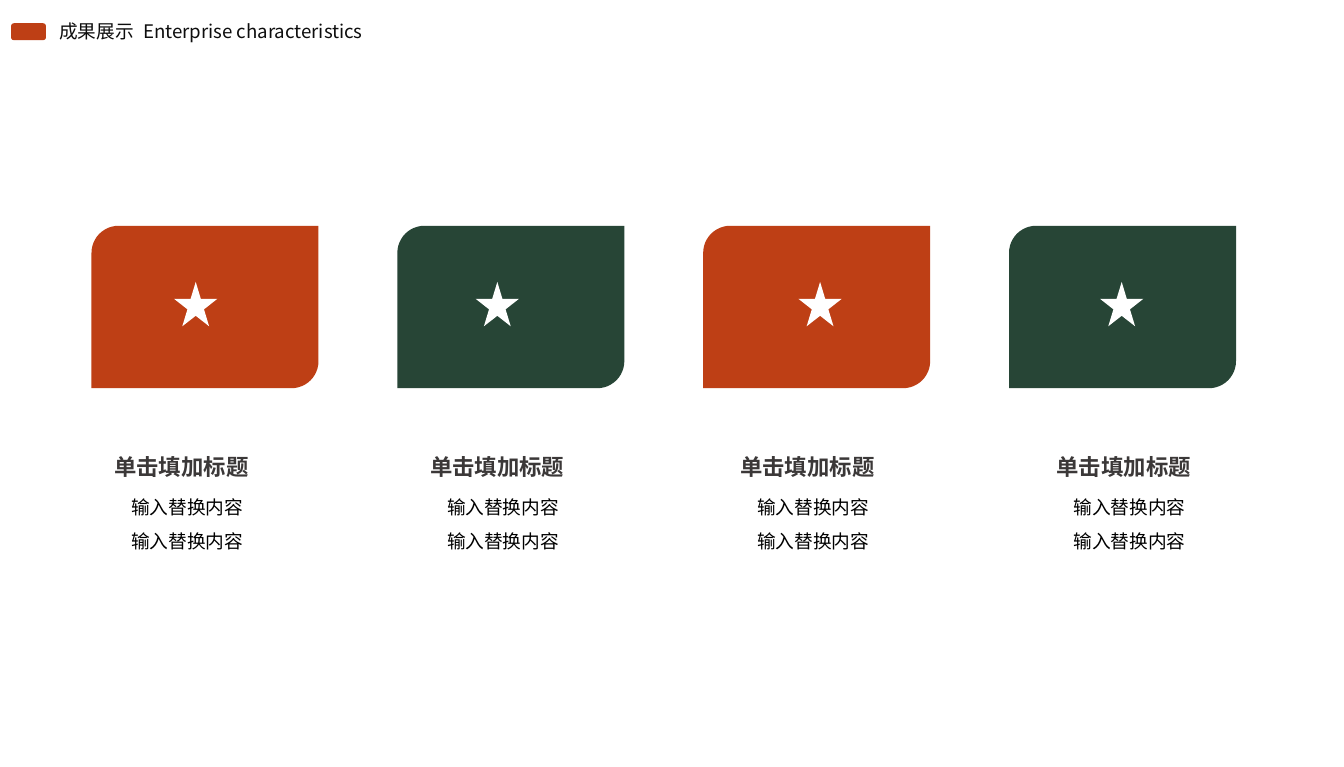
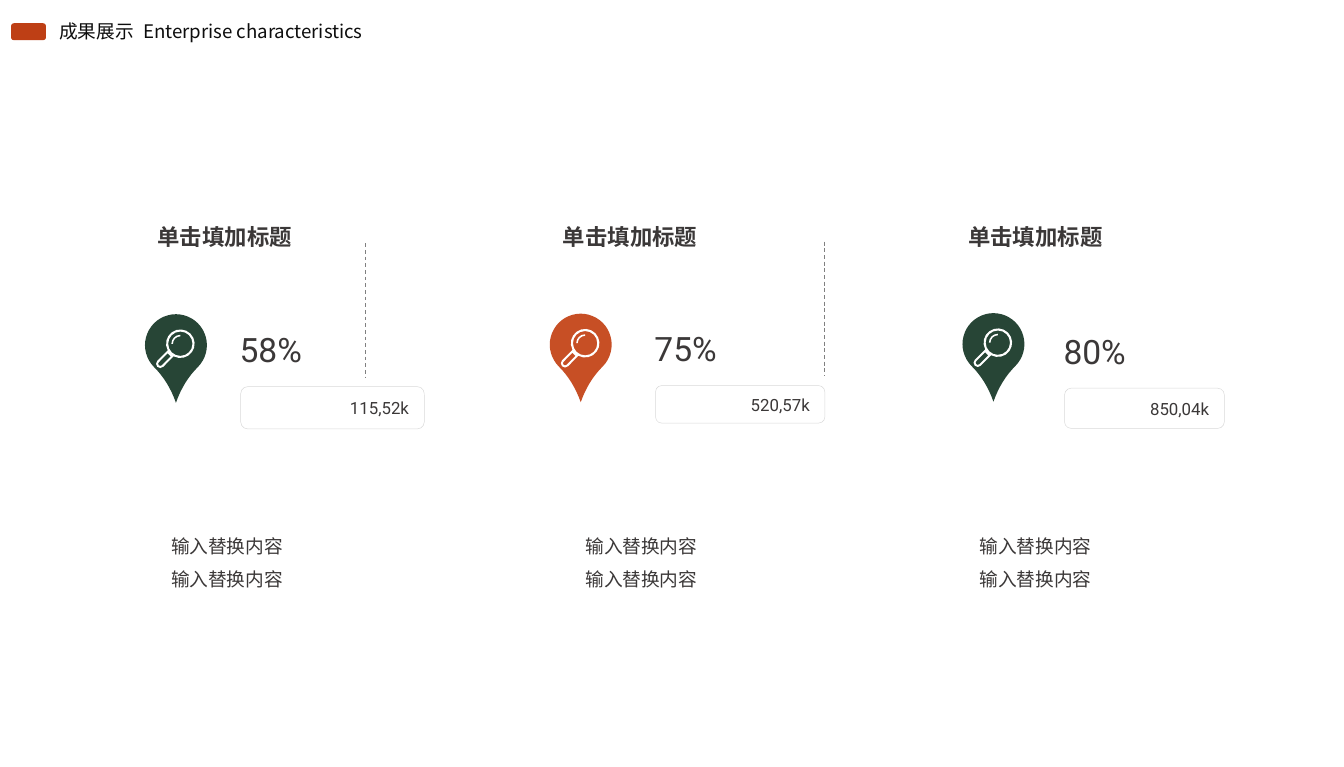
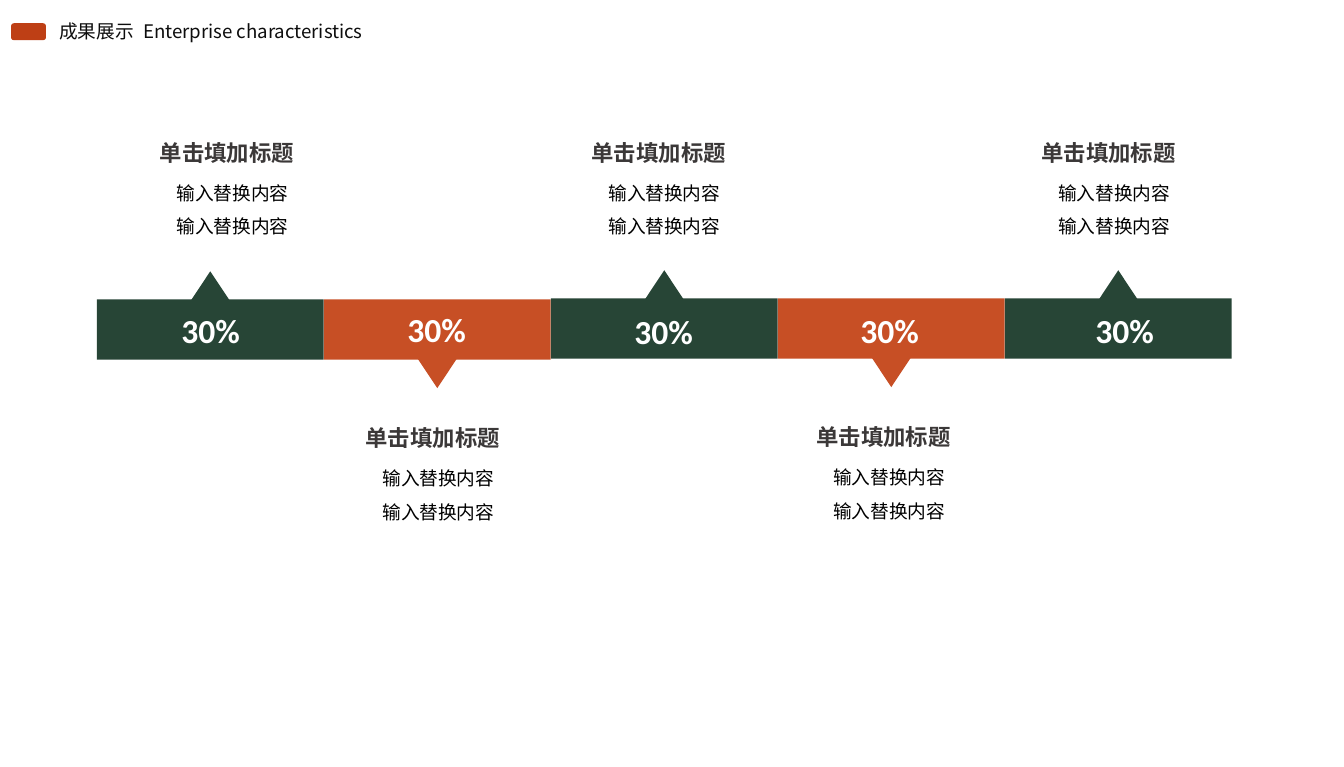
import math

import lxml.etree
import pptx
import pptx.dml.color
import pptx.enum.dml
import pptx.enum.shapes
import pptx.enum.text
import pptx.oxml.ns
import pptx.util

Cm = pptx.util.Cm
qn = pptx.oxml.ns.qn
SHAPE = pptx.enum.shapes.MSO_SHAPE
ALIGN = pptx.enum.text.PP_ALIGN

RUST, ORANGE, GREEN = "BE3F15", "C74F25", "274536"
WHITE, BLACK, INK, GRAPHITE = "FFFFFF", "000000", "0D0D0D", "3B3838"
OUTLINE, DIVIDER = "D9D9D9", "808080"
CJK, ROBOTO, CALIBRI = "Noto Sans CJK SC", "Roboto", "Calibri"
HEADLINE = "单击填加标题"
BODY = ["输入替换内容"] * 2


def rgb(value):
    return pptx.dml.color.RGBColor.from_string(value)


def style(paragraph, size, color, face=CJK, bold=False, align=ALIGN.LEFT):
    paragraph.alignment = align
    font = paragraph.font
    font.size = pptx.util.Pt(size)
    font.bold = bold
    font.color.rgb = rgb(color)
    font.name = face
    defaults = paragraph._p.pPr.find(qn("a:defRPr"))
    lxml.etree.SubElement(defaults, qn("a:ea"), typeface=face)


def paint(shape, fill):
    shape.shadow.inherit = False
    shape.fill.solid()
    shape.fill.fore_color.rgb = rgb(fill)
    shape.line.fill.background()


def add_block(slide, kind, left, top, width, height, fill):
    block = slide.shapes.add_shape(kind, Cm(left), Cm(top), Cm(width), Cm(height))
    paint(block, fill)
    return block


def add_text(slide, lines, left, top, width, height, size, color,
             wrap=True, inset=True, spacing=None, gap=0, **look):
    box = slide.shapes.add_textbox(Cm(left), Cm(top), Cm(width), Cm(height))
    frame = box.text_frame
    frame.word_wrap = wrap
    frame.auto_size = pptx.enum.text.MSO_AUTO_SIZE.SHAPE_TO_FIT_TEXT
    if not inset:
        frame.margin_left = frame.margin_right = 0
        frame.margin_top = frame.margin_bottom = 0
    frame.text = "\n".join(lines)
    for index, paragraph in enumerate(frame.paragraphs):
        if spacing:
            paragraph.line_spacing = spacing
        if index:
            paragraph.space_before = pptx.util.Pt(gap)
        style(paragraph, size, color, **look)


def add_headline(slide, left, top, width=3.4):
    add_text(slide, [HEADLINE], left, top, width, 0.6, 12, GRAPHITE,
             inset=False, spacing=1.2, bold=True, align=ALIGN.CENTER)


def add_body(slide, left, top, width=5.33, color=BLACK):
    add_text(slide, BODY, left, top, width, 1.32, 10, color,
             gap=6, align=ALIGN.CENTER)


def add_caption(slide, left, top):
    add_body(slide, left - 0.86, top + 0.78)
    add_headline(slide, left, top)


def add_percent(slide, value, left, top, width, color, **look):
    add_text(slide, [value], left, top, width, 1.02, 18, color, wrap=False, **look)


def add_amount(slide, value, left, top, width, height):
    field = add_block(slide, SHAPE.ROUNDED_RECTANGLE, left, top, width, height, WHITE)
    field.fill.background()
    field.line.color.rgb = rgb(OUTLINE)
    field.line.width = pptx.util.Pt(0.25)
    field.text_frame.text = value
    field.text_frame.vertical_anchor = pptx.enum.text.MSO_ANCHOR.MIDDLE
    style(field.text_frame.paragraphs[0], 9, GRAPHITE, ROBOTO, align=ALIGN.RIGHT)


def add_divider(slide, x, top):
    divider = slide.shapes.add_connector(
        pptx.enum.shapes.MSO_CONNECTOR.STRAIGHT, Cm(x), Cm(top), Cm(x), Cm(top + 2.54))
    divider.line.color.rgb = rgb(DIVIDER)
    divider.line.width = pptx.util.Pt(0.5)
    divider.line.dash_style = pptx.enum.dml.MSO_LINE.DASH
    lxml.etree.SubElement(divider._element.spPr, qn("a:effectLst"))


def arc(x, y, radius, start, end):
    count = math.ceil(abs(end - start) / 90)
    turn = math.radians(end - start) / count
    reach = 4 / 3 * math.tan(turn / 4)

    def point(angle, pull=0):
        return (x + radius * (math.cos(angle) - pull * math.sin(angle)),
                y + radius * (math.sin(angle) + pull * math.cos(angle)))

    angles = [math.radians(start) + turn * i for i in range(count + 1)]
    curves = [(point(a, reach), point(b, -reach), point(b))
              for a, b in zip(angles, angles[1:])]
    return [(point(angles[0]),)] + curves


def bend(outline, steps):
    corners = iter(list(outline._element.iter(qn("a:lnTo"))))
    for step in steps:
        nodes = [next(corners) for _ in step]
        if len(step) == 3:
            curve = lxml.etree.Element(qn("a:cubicBezTo"))
            nodes[0].addprevious(curve)
            for node in nodes:
                curve.append(node[0])
                node.getparent().remove(node)


def add_outline(slide, contours, fill):
    builder = None
    for contour in contours:
        points = [(Cm(x), Cm(y)) for step in contour for x, y in step]
        if builder is None:
            builder = slide.shapes.build_freeform(*points[0])
        else:
            builder.move_to(*points[0])
        builder.add_line_segments(points[1:], close=True)
    outline = builder.convert_to_shape()
    bend(outline, [step for contour in contours for step in contour[1:]])
    paint(outline, fill)


def add_magnifier(slide, x, y):
    grip_x, grip_y = x - 0.38, y + 0.38
    neck_x, neck_y = x - 0.21, y + 0.21
    rim = arc(x, y, 0.27, 152, 478) + arc(grip_x, grip_y, 0.08, 45, 225)
    lens = arc(x, y, 0.23, 360, 0)
    grip = (arc(grip_x, grip_y, 0.04, 45, 225)
            + [((neck_x - 0.03, neck_y - 0.03),), ((neck_x + 0.03, neck_y + 0.03),)])
    add_outline(slide, [rim, lens, grip], WHITE)
    add_outline(slide, [arc(x, y, 0.17, 180, 270) + arc(x, y, 0.14, 270, 180)], WHITE)


def add_pin(slide, left, top, fill):
    pin = add_block(slide, SHAPE.TEAR, left, top, 1.17, 1.17, fill)
    pin.adjustments[0] = 1.316
    pin.rotation = 135
    add_magnifier(slide, left + 0.67, top + 0.56)


def new_slide(deck):
    slide = deck.slides.add_slide(deck.slide_layouts[6])
    add_block(slide, SHAPE.ROUNDED_RECTANGLE, 0.21, 0.44, 0.66, 0.32, RUST)
    add_text(slide, ["成果展示"], 0.87, 0.26, 1.93, 0.69, 10, INK)
    add_text(slide, ["Enterprise characteristics"], 2.46, 0.26, 6.48, 0.69, 10, INK)
    return slide


def build_star_cards(deck):
    slide = new_slide(deck)
    columns = [(3.29, 1.73), (8.99, 7.7), (15.09, 13.56), (20.79, 19.54)]
    for index in range(len(columns)):
        add_block(slide, SHAPE.ROUND_2_DIAG_RECTANGLE, 1.73 + index * 5.78, 4.27,
                  4.29, 3.07, (RUST, GREEN)[index % 2])
    for star_left, caption_left in columns:
        add_caption(slide, caption_left, 8.47)
        add_block(slide, SHAPE.STAR_5_POINT, star_left, 5.33, 0.82, 0.84, WHITE)


def build_pin_figures(deck):
    slide = new_slide(deck)
    figures = [
        ("58%", "115,52k", 4.28, 6.1, 3.47, 0.8),
        ("75%", "520,57k", 12.12, 6.08, 3.2, 0.71),
        ("80%", "850,04k", 19.85, 6.13, 3.02, 0.76),
    ]
    for percent, amount, left, top, width, height in figures:
        add_percent(slide, percent, left, top, 1.72, GRAPHITE, face=ROBOTO)
        add_amount(slide, amount, left + 0.27, top + 1.21, width, height)
    add_divider(slide, 6.91, 4.6)
    add_divider(slide, 15.59, 4.57)
    for index, body_left in enumerate((1.56, 9.39, 16.84)):
        add_headline(slide, 2.51 + index * 7.66, 4.11, 3.48)
        add_body(slide, body_left, 9.98, 5.46, GRAPHITE)
    add_pin(slide, 2.74, 5.94, GREEN)
    add_pin(slide, 10.39, 5.93, ORANGE)
    add_pin(slide, 18.19, 5.92, GREEN)


def build_percent_band(deck):
    slide = new_slide(deck)
    segments = [
        (5.66, 3.18, 5.74, 2.59, 2.53),
        (5.66, 7.45, 5.72, 6.48, 7.92),
        (5.64, 11.74, 5.75, 10.75, 2.53),
        (5.64, 16.01, 5.74, 15, 7.9),
        (5.64, 20.45, 5.74, 19.25, 2.53),
    ]
    for index, (top, *_) in enumerate(segments):
        left = 1.83 + index * 4.29
        points_down = index % 2 == 1
        fill = ORANGE if points_down else GREEN
        add_block(slide, SHAPE.RECTANGLE, left, top, 4.29, 1.14, fill)
        pointer_top = top + (1.07 if points_down else -0.53)
        pointer = add_block(slide, SHAPE.ISOSCELES_TRIANGLE, left + 1.74,
                            pointer_top, 0.81, 0.61, fill)
        if points_down:
            pointer._element.spPr.xfrm.set("flipV", "1")
    for _, percent_left, percent_top, caption_left, caption_top in segments:
        add_percent(slide, "30%", percent_left, percent_top, 1.65, WHITE,
                    face=CALIBRI, bold=True)
        add_caption(slide, caption_left, caption_top)


def main():
    deck = pptx.Presentation()
    deck.slide_width, deck.slide_height = Cm(25.4), Cm(14.5)
    build_star_cards(deck)
    build_pin_figures(deck)
    build_percent_band(deck)
    deck.save("out.pptx")


if __name__ == "__main__":
    main()
